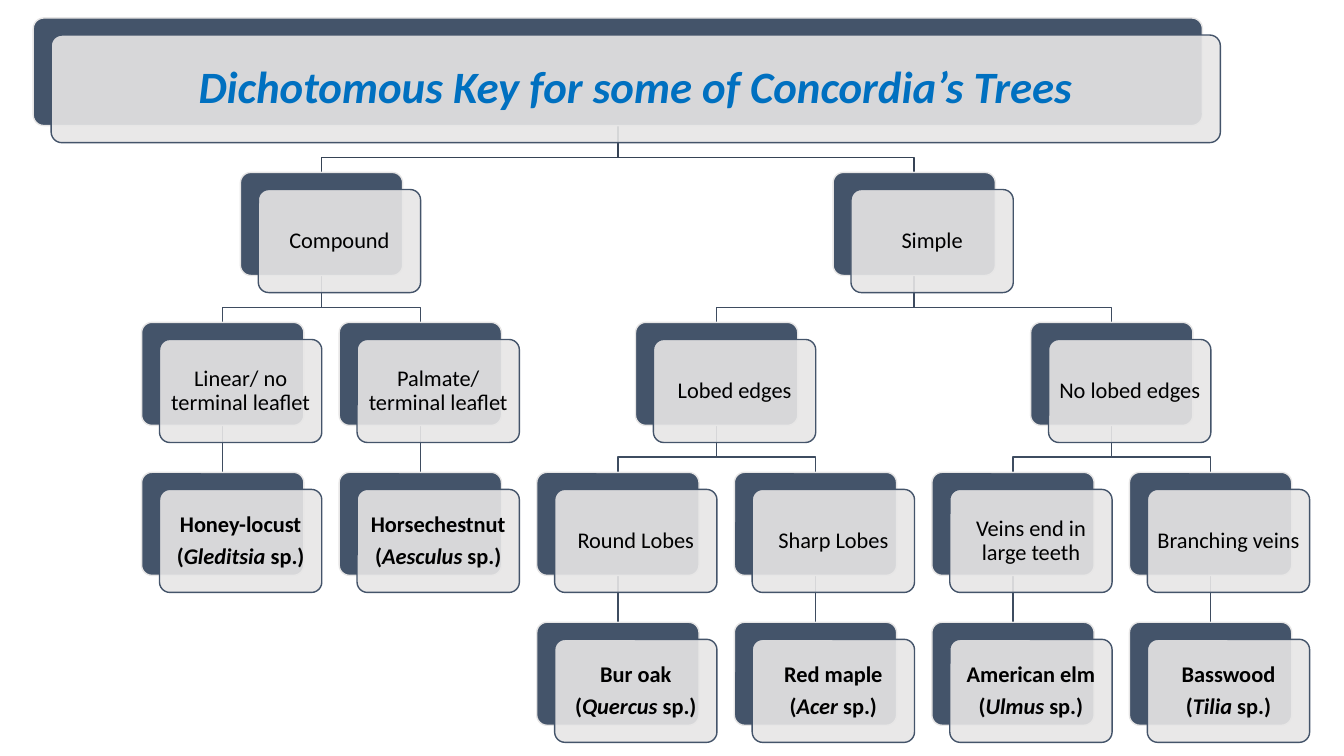
from dataclasses import dataclass, field

from pptx import Presentation
from pptx.dml.color import RGBColor as RGB
from pptx.enum.shapes import MSO_CONNECTOR as CONN, MSO_SHAPE as SHAPE
from pptx.enum.text import MSO_ANCHOR as ANCHOR, PP_ALIGN as ALIGN
from pptx.oxml.ns import qn
from pptx.util import Pt
from lxml.etree import SubElement


@dataclass(frozen=True)
class Theme:
    """Colours, type sizes and shared measures (points)."""
    font: str = "Calibri"
    title_size: float = 32
    node_size: float = 16
    title_ink: str = "0070C0"
    ink: str = "000000"
    slate: str = "44546A"
    pale: str = "E7E6E6"
    title_link: str = "364355"
    link: str = "3E4C60"
    card_alpha: int = 90
    line: float = 1
    corner: float = 0.1


@dataclass
class Node:
    """One step of the key; a genus marks it as a species."""
    label: str
    children: list = field(default_factory=list)
    genus: str = ""
    x: float = 0
    level: int = 0


COL_X, COL_STEP = 159.1, 141.12      # centre of the first column, pitch
ROW_Y, ROW_STEP = 123.2, 107.1       # top of the first row, pitch
NODE_W, NODE_H = 115.9, 73.6
TITLE_Y, TITLE_W, TITLE_H = 12.8, 835.2, 76.9
SHIFT_X, SHIFT_Y = 12.8, 12.2        # front card against back card
BUS_GAP = 10.8                       # bend of a link above its child

KEY = Node("Dichotomous Key for some of Concordia’s Trees", [
    Node("Compound", [
        Node("Linear/ no terminal leaflet", [Node("Honey-locust", genus="Gleditsia")]),
        Node("Palmate/ terminal leaflet", [Node("Horsechestnut", genus="Aesculus")]),
    ]),
    Node("Simple", [
        Node("Lobed edges", [
            Node("Round Lobes", [Node("Bur oak", genus="Quercus")]),
            Node("Sharp Lobes", [Node("Red maple", genus="Acer")]),
        ]),
        Node("No lobed edges", [
            Node("Veins end in large teeth", [Node("American elm", genus="Ulmus")]),
            Node("Branching veins", [Node("Basswood", genus="Tilia")]),
        ]),
    ]),
])


class Canvas:
    """Holds the theme and the current slide, and draws on it."""

    def __init__(self, slide, theme):
        """Keep the slide and the theme."""
        self.s, self.theme = slide, theme

    def stroke(self, sp, color):
        """Give a shape or connector its line."""
        sp.line.color.rgb = RGB.from_string(color)
        sp.line.width = Pt(self.theme.line)

    def card(self, x, y, w, h, line, fill, alpha=100):
        """Add a rounded card and return it."""
        sp = self.s.shapes.add_shape(SHAPE.ROUNDED_RECTANGLE, Pt(x), Pt(y), Pt(w), Pt(h))
        sp.adjustments[0] = self.theme.corner
        sp.shadow.inherit = False
        sp.fill.solid()
        sp.fill.fore_color.rgb = RGB.from_string(fill)
        if alpha < 100:
            clr = sp.fill._xPr.find(qn("a:solidFill"))[0]
            SubElement(clr, qn("a:alpha")).set("val", str(alpha * 1000))
        self.stroke(sp, line)
        return sp

    def text(self, sp, paragraphs, size, color, inset):
        """Write paragraphs of (text, bold, italic) runs into a shape."""
        tf = sp.text_frame
        tf.word_wrap = True
        tf.vertical_anchor = ANCHOR.MIDDLE
        tf.margin_left = tf.margin_right = tf.margin_top = tf.margin_bottom = Pt(inset)
        for i, runs in enumerate(paragraphs):
            p = tf.add_paragraph() if i else tf.paragraphs[0]
            p.alignment = ALIGN.CENTER
            p.line_spacing = 0.9
            p.space_after = Pt(size * 0.35)
            for words, bold, italic in runs:
                r = p.add_run()
                r.text = words
                r.font.name, r.font.size = self.theme.font, Pt(size)
                r.font.bold, r.font.italic = bold, italic
                r.font.color.rgb = RGB.from_string(color)

    def link(self, x1, y1, x2, y2, color):
        """Join a parent to a child, bending just above the child."""
        if abs(x1 - x2) < 0.01:
            sp = self.s.shapes.add_connector(CONN.STRAIGHT, Pt(x1), Pt(y1), Pt(x2), Pt(y2))
            SubElement(sp._element.spPr, qn("a:effectLst"))
        else:
            bus = y2 - BUS_GAP
            fb = self.s.shapes.build_freeform(Pt(x1), Pt(y1))
            bends = [(x1, bus), (x2, bus), (x2, y2)]
            fb.add_line_segments([(Pt(x), Pt(y)) for x, y in bends], close=False)
            sp = fb.convert_to_shape()
            sp.fill.background()
            sp.shadow.inherit = False
        self.stroke(sp, color)

    def node(self, node):
        """Draw a back card, then a translucent front card with the words."""
        t = self.theme
        y, w, h = frame(node)
        x = node.x - w / 2
        self.card(x, y, w, h, t.pale, t.slate)
        sp = self.card(x + SHIFT_X, y + SHIFT_Y, w, h, t.slate, t.pale, t.card_alpha)
        if node.level == 0:
            self.text(sp, [[(node.label, True, True)]], t.title_size, t.title_ink, 9.6)
            return
        paragraphs = [[(node.label, bool(node.genus), False)]]
        if node.genus:
            paragraphs.append([("(", True, False), (node.genus, True, True),
                               (" sp.)", True, False)])
        self.text(sp, paragraphs, t.node_size, t.ink, 4.8)


def frame(node):
    """Return top, width and height of a node's back card."""
    if node.level == 0:
        return TITLE_Y, TITLE_W, TITLE_H
    return ROW_Y + (node.level - 1) * ROW_STEP, NODE_W, NODE_H


def place(node, columns, level=0):
    """Put leaves in successive columns and parents midway over children."""
    node.level = level
    for child in node.children:
        place(child, columns, level + 1)
    if node.children:
        node.x = (node.children[0].x + node.children[-1].x) / 2
    else:
        node.x = COL_X + next(columns) * COL_STEP


def walk(node):
    """Yield a node and all below it."""
    yield node
    for child in node.children:
        yield from walk(child)


def main():
    """Build and save the slide."""
    prs = Presentation()
    prs.slide_width, prs.slide_height = Pt(960), Pt(540)
    theme = Theme()
    canvas = Canvas(prs.slides.add_slide(prs.slide_layouts[6]), theme)
    place(KEY, iter(range(6)))
    for parent in walk(KEY):
        top, _, height = frame(parent)
        color = theme.link if parent.level else theme.title_link
        for child in parent.children:
            canvas.link(parent.x, top + height, child.x, frame(child)[0], color)
    for node in walk(KEY):
        canvas.node(node)
    prs.save("out.pptx")


main()
